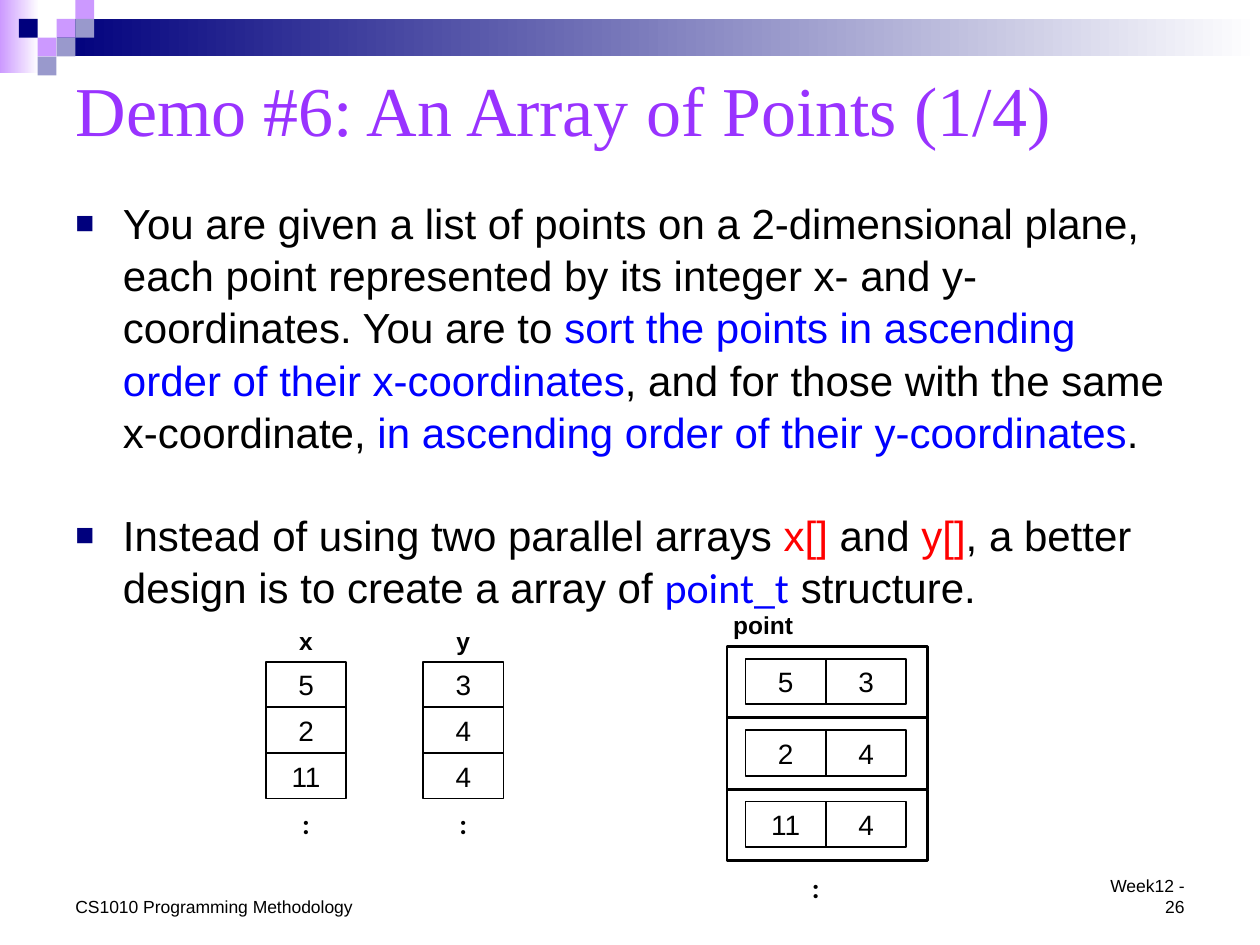
from lxml import etree
from pptx import Presentation
from pptx.dml.color import RGBColor
from pptx.enum.shapes import MSO_SHAPE
from pptx.enum.text import MSO_ANCHOR, MSO_AUTO_SIZE, PP_ALIGN
from pptx.oxml.ns import qn
from pptx.util import Cm, Pt

RECTANGLE = MSO_SHAPE.RECTANGLE
TOP, MIDDLE, BOTTOM = MSO_ANCHOR.TOP, MSO_ANCHOR.MIDDLE, MSO_ANCHOR.BOTTOM
LEFT, CENTER, RIGHT = PP_ALIGN.LEFT, PP_ALIGN.CENTER, PP_ALIGN.RIGHT

BLACK, WHITE, BLUE, RED = "000000", "FFFFFF", "0000FF", "FF0000"
NAVY, LILAC, SLATE, PURPLE = "00007D", "CC99FF", "9999CC", "9933FF"

TITLE = "Demo #6: An Array of Points (1/4)"
BULLETS = [
    [
        ("You are given a list of points on a 2-dimensional plane, each point represented "
         "by its integer x- and y-coordinates. You are to ", BLACK, "Arial"),
        ("sort the points in ascending order of their x-coordinates", BLUE, "Arial"),
        (", and for those with the same x-coordinate, ", BLACK, "Arial"),
        ("in ascending order of their y-coordinates", BLUE, "Arial"),
        (".", BLACK, "Arial"),
    ],
    [
        ("Instead of using two parallel arrays ", BLACK, "Arial"),
        ("x[] ", RED, "Arial"),
        ("and ", BLACK, "Arial"),
        ("y[]", RED, "Arial"),
        (", a better design is to create a array of ", BLACK, "Arial"),
        ("point_t", BLUE, "Calibri"),
        (" structure.", BLACK, "Arial"),
    ],
]
POINTS = [(5, 3), (2, 4), (11, 4)]
ARRAYS = [("x", 5.36), ("y", 8.53)]
BANDS = [((0, 0, 0.79, 1.47), LILAC), ((1.14, 0.38, 24.26, 0.76), NAVY)]
SQUARES = [
    (3, 1, LILAC), (4, 0, LILAC), (4, 1, SLATE), (2, 2, LILAC),
    (1, 1, NAVY), (3, 2, SLATE), (2, 3, SLATE),
]
SQUARE = 0.38
CELL_WIDTH, CELL_HEIGHT = 1.62, 0.92
ARRAY_TOP = 13.34
FRAME_LEFT, FRAME_TOP, FRAME_WIDTH, FRAME_HEIGHT = 14.66, 13.03, 4.04, 1.44
LABEL = {"size": Pt(14), "bold": True}
DOTS = {"size": Pt(16), "bold": True, "name": "Calibri"}


def color(value):
    """Turn a hex string into a colour."""
    return RGBColor.from_string(value)


def write(paragraph, text, hex_color=BLACK, **formats):
    """Add a run with the given font formats."""
    run = paragraph.add_run()
    run.text = text
    run.font.color.rgb = color(hex_color)
    for name, value in ({"name": "Arial"} | formats).items():
        setattr(run.font, name, value)


def add_box(slide, box, text, align=LEFT, anchor=TOP, **formats):
    """Add a wrapped text box with one line of text."""
    frame = slide.shapes.add_textbox(*map(Cm, box)).text_frame
    frame.word_wrap = True
    frame.vertical_anchor = anchor
    frame.paragraphs[0].alignment = align
    write(frame.paragraphs[0], text, **formats)


def add_rectangle(slide, box, fill=None, line_width=None):
    """Add a flat rectangle with an optional fill and black line."""
    shape = slide.shapes.add_shape(RECTANGLE, *map(Cm, box))
    shape.shadow.inherit = False
    if fill:
        shape.fill.solid()
        shape.fill.fore_color.rgb = color(fill)
    else:
        shape.fill.background()
    if line_width:
        shape.line.width = Pt(line_width)
        shape.line.color.rgb = color(BLACK)
    else:
        shape.line.fill.background()
    return shape


def add_cell(slide, left, top, value):
    """Add one array cell holding a number."""
    shape = add_rectangle(slide, (left, top, CELL_WIDTH, CELL_HEIGHT), WHITE, 1)
    frame = shape.text_frame
    frame.vertical_anchor = MIDDLE
    frame.paragraphs[0].alignment = CENTER
    write(frame.paragraphs[0], str(value), size=Pt(16))


def add_decoration(slide):
    """Draw the gradient bands and the squares at the top."""
    for box, start in BANDS:
        fill = add_rectangle(slide, box).fill
        fill.gradient()
        fill.gradient_angle = 0
        for stop, value in zip(fill.gradient_stops, (start, WHITE)):
            stop.color.rgb = color(value)
    for column, row, value in SQUARES:
        add_rectangle(slide, (column * SQUARE, row * SQUARE, SQUARE, SQUARE), value)


def add_title(slide):
    """Place and fill the title placeholder."""
    title = slide.shapes.title
    title.left, title.top, title.width, title.height = map(Cm, (1.27, 1.07, 22.86, 2.24))
    frame = title.text_frame
    frame.auto_size = MSO_AUTO_SIZE.NONE
    frame.vertical_anchor = MIDDLE
    frame.paragraphs[0].alignment = LEFT
    write(frame.paragraphs[0], TITLE, PURPLE, name="Times New Roman", size=Pt(40))


def add_bullets(slide):
    """Write the two bulleted paragraphs."""
    frame = slide.shapes.add_textbox(*map(Cm, (1.27, 3.81, 22.86, 8.46))).text_frame
    frame.word_wrap = True
    for index, runs in enumerate(BULLETS):
        paragraph = frame.add_paragraph() if index else frame.paragraphs[0]
        paragraph.line_spacing = 1.04
        if index:
            paragraph.space_before = Pt(28.7)
        properties = paragraph._p.get_or_add_pPr()
        properties.set("marL", str(Cm(0.96)))
        properties.set("indent", str(Cm(-0.96)))
        bullet_color = etree.SubElement(properties, qn("a:buClr"))
        etree.SubElement(bullet_color, qn("a:srgbClr"), val=NAVY)
        etree.SubElement(properties, qn("a:buSzPct"), val="75000")
        etree.SubElement(properties, qn("a:buFont"), typeface="Arial")
        etree.SubElement(properties, qn("a:buChar"), char="■")
        for text, hex_color, font in runs:
            write(paragraph, text, hex_color, name=font, size=Pt(24))


def add_parallel_arrays(slide):
    """Draw the x and y arrays side by side."""
    for (name, left), values in zip(ARRAYS, zip(*POINTS)):
        add_box(slide, (left, 12.5, CELL_WIDTH, 0.86), name, CENTER, **LABEL)
        for row, value in enumerate(values):
            add_cell(slide, left, ARRAY_TOP + row * CELL_HEIGHT, value)
        add_box(slide, (left, 16.14, CELL_WIDTH, 0.94), ":", CENTER, **DOTS)


def add_point_array(slide):
    """Draw the array of point structures."""
    add_box(slide, (14.53, 12.17, 3.05, 0.86), "point", **LABEL)
    for row, point in enumerate(POINTS):
        top = FRAME_TOP + row * FRAME_HEIGHT
        add_rectangle(slide, (FRAME_LEFT, top, FRAME_WIDTH, FRAME_HEIGHT), line_width=1.5)
        for column, value in enumerate(point):
            add_cell(slide, FRAME_LEFT + 0.37 + column * CELL_WIDTH, top + 0.25, value)
    add_box(slide, (15.01, 17.42, 2.87, 0.94), ":", CENTER, **DOTS)


def main():
    """Build the slide and save it."""
    presentation = Presentation()
    presentation.slide_width, presentation.slide_height = Cm(25.4), Cm(19.05)
    slide = presentation.slides.add_slide(presentation.slide_layouts[5])
    add_decoration(slide)
    add_title(slide)
    add_bullets(slide)
    add_box(slide, (1.27, 17.93, 6.15, 0.69), "CS1010 Programming Methodology", size=Pt(10))
    add_box(slide, (21.79, 17.93, 2.34, 0.69), "Week12 - 26", RIGHT, BOTTOM, size=Pt(10))
    add_parallel_arrays(slide)
    add_point_array(slide)
    presentation.save("out.pptx")


if __name__ == "__main__":
    main()
